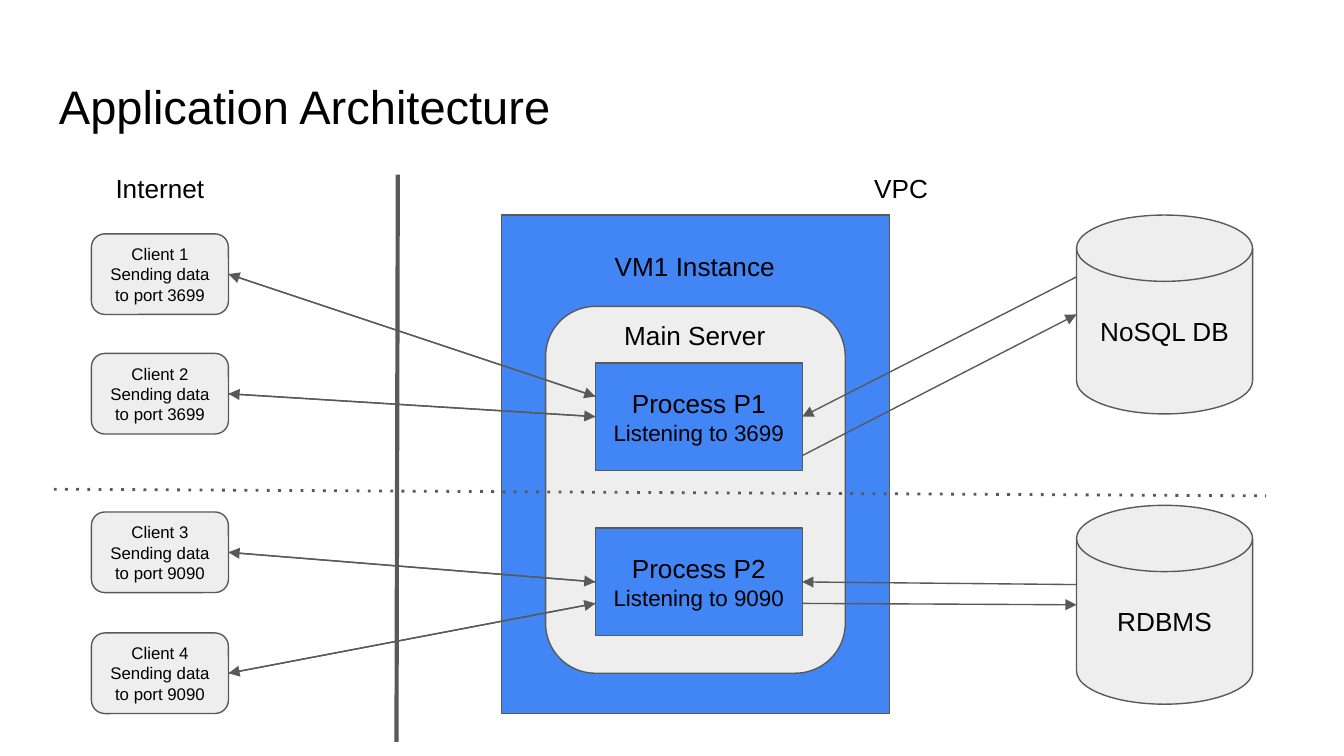
from lxml import etree
from pptx import Presentation
from pptx.dml.color import RGBColor
from pptx.enum.shapes import MSO_CONNECTOR, MSO_SHAPE as SHAPE
from pptx.enum.text import MSO_ANCHOR as ANCHOR, PP_ALIGN as ALIGN
from pptx.oxml.ns import qn
from pptx.util import Inches, Pt

BLUE, GRAY, DARK, BLACK = "4285F4", "EEEEEE", "595959", "000000"
LEFT, RIGHT = 1, 3  # connection sites of a rectangle

prs = Presentation()
prs.slide_width, prs.slide_height = Inches(10), Inches(10 * 9 / 16)
slide = prs.slides.add_slide(prs.slide_layouts[6])
shapes = slide.shapes


def write(paragraphs, box, shape=None, fill=GRAY, sizes=(14,), align=ALIGN.CENTER):
    """Add a text box, or a filled shape if one is named.

    Each paragraph is a list of runs; sizes holds one size for each run in turn.
    """
    place = [Inches(length) for length in box]
    if shape is None:
        item = shapes.add_textbox(*place)
    else:
        item = shapes.add_shape(shape, *place)
        item.shadow.inherit = False
        item.fill.solid()
        item.fill.fore_color.rgb = RGBColor.from_string(fill)
        item.line.color.rgb = RGBColor.from_string(DARK)
        item.line.width = Pt(0.75)
    frame = item.text_frame
    frame.word_wrap = True
    frame.vertical_anchor = ANCHOR.TOP if shape is None else ANCHOR.MIDDLE
    frame.margin_left = frame.margin_right = Inches(0.1)
    frame.margin_top = frame.margin_bottom = Inches(0.1)
    remaining_sizes = iter(sizes)
    for number, runs in enumerate(paragraphs):
        paragraph = frame.add_paragraph() if number else frame.paragraphs[0]
        paragraph.alignment = align
        for text in runs:
            run = paragraph.add_run()
            run.text = text
            run.font.name = "Arial"
            run.font.size = Pt(next(remaining_sizes))
            run.font.color.rgb = RGBColor.from_string(BLACK)
    return item


def connect(start, end, width=0.75, dash=None, arrow=True):
    link = shapes.add_connector(MSO_CONNECTOR.STRAIGHT,
                                *[Inches(length) for length in (*start, *end)])
    link.line.color.rgb = RGBColor.from_string(DARK)
    link.line.width = Pt(width)
    outline = link.line._get_or_add_ln()
    if dash:
        etree.SubElement(outline, qn("a:prstDash"), val=dash)
    if arrow:
        etree.SubElement(outline, qn("a:tailEnd"), type="triangle")
    etree.SubElement(link._element.spPr, qn("a:effectLst"))
    return link


# Virtual machine with the server and its two processes
write([], (3.73, 1.6, 2.89, 3.71), SHAPE.RECTANGLE, BLUE)
write([], (4.06, 2.28, 2.23, 2.73), SHAPE.ROUNDED_RECTANGLE)
write([["VM1 Instance"]], (4.3, 1.76, 1.74, 0.44))
process_1, process_2 = [
    write(label, (4.43, top, 1.54, 0.8), SHAPE.RECTANGLE, BLUE, sizes=(14, 12))
    for label, top in (
        ([["Process P1 ", "Listening to 3699"]], 2.7),
        ([["Process P2"], ["Listening to 9090"]], 3.93),
    )
]
write([["Main Server"]], (4.53, 2.28, 1.28, 0.44))

# Databases
for database, top in (("NoSQL DB", 1.6), ("RDBMS", 3.76)):
    write([[database]], (8.01, top, 1.31, 1.48), SHAPE.FLOWCHART_MAGNETIC_DISK)

process_right, database_left = 5.97, 8.01
for process, query_y, query_end_y, reply_y, reply_end_y in (
    (process_1, 3.39, 2.34, 2.06, 3.1),
    (process_2, 4.49, 4.5, 4.35, 4.33),
):
    connect((process_right, query_y), (database_left, query_end_y))
    reply = connect((database_left, reply_y), (process_right, reply_end_y))
    reply.end_connect(process, RIGHT)

# Zones
connect((2.96, 1.3), (2.95, 5.52), width=2.25, arrow=False)
write([["VPC"]], (5.53, 1.18, 2.35, 0.44))

# Clients, each with a request and a response; two pairs meet the middle of a side
for number, port, top, process, process_y, at_middle in (
    (1, 3699, 1.74, process_1, 2.95, False),
    (2, 3699, 2.63, process_1, 3.1, True),
    (3, 9090, 3.81, process_2, 4.33, True),
    (4, 9090, 4.71, process_2, 4.49, False),
):
    client = write([[f"Client {number}"], [f"Sending data to port {port}"]],
                   (0.68, top, 1.02, 0.6), SHAPE.ROUNDED_RECTANGLE, sizes=(9, 9))
    client_side, process_side = (1.7, top + 0.3), (4.43, process_y)
    request = connect(client_side, process_side)
    response = connect(process_side, client_side)
    request.begin_connect(client, RIGHT)
    response.end_connect(client, RIGHT)
    if at_middle:
        request.end_connect(process, LEFT)
        response.begin_connect(process, LEFT)

write([["Internet"]], (0.48, 1.18, 1.42, 0.44))
write([["Application Architecture"]], (0.34, 0.48, 9.32, 0.63), sizes=(25.2,),
      align=ALIGN.LEFT)
connect((0.4, 3.64), (9.42, 3.69), width=1.5, dash="dot", arrow=False)

prs.save("out.pptx")
